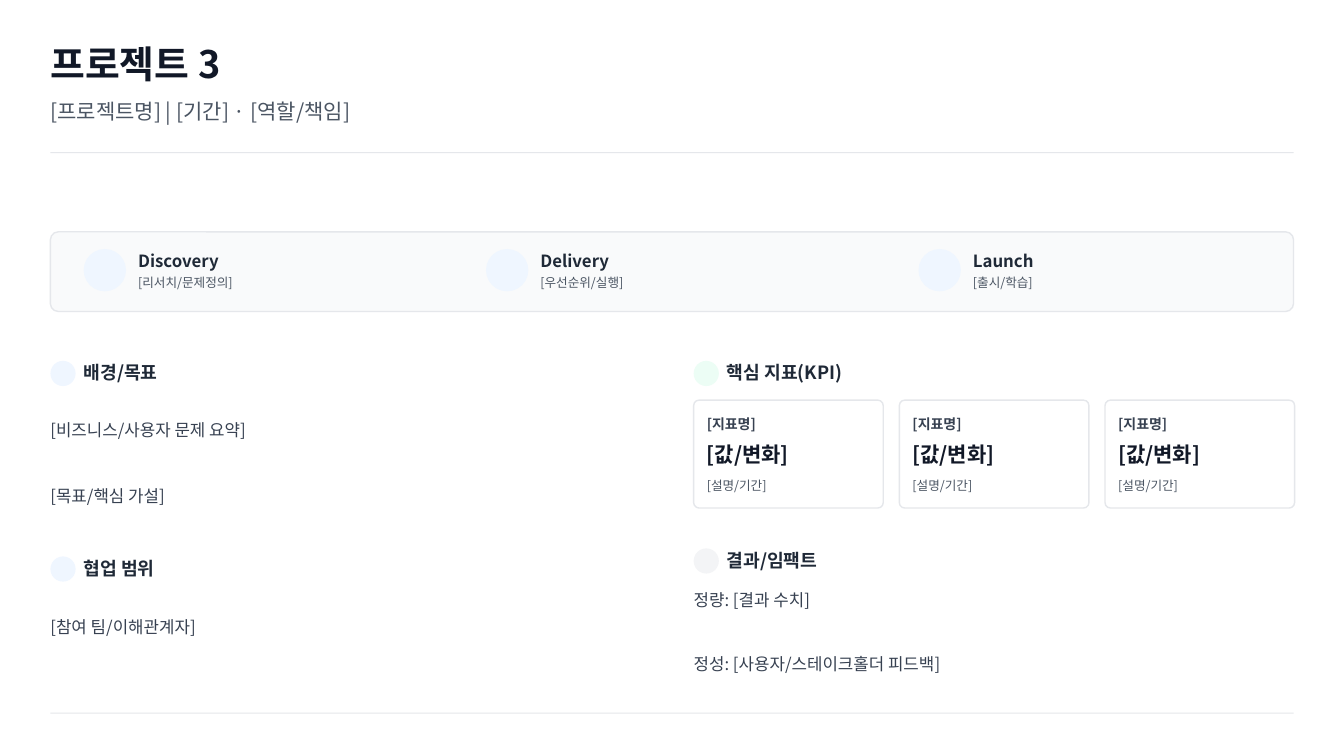
from pptx import Presentation
from pptx.dml.color import RGBColor
from pptx.enum.shapes import MSO_SHAPE
from pptx.enum.text import MSO_ANCHOR
from pptx.oxml.ns import qn
from pptx.util import Inches, Pt
from lxml import etree

RECT, ROUNDED = MSO_SHAPE.RECTANGLE, MSO_SHAPE.ROUNDED_RECTANGLE
MIDDLE = MSO_ANCHOR.MIDDLE
FONT = "Noto Sans CJK KR"
COLORS = {
    "title": "111827", "heading": "1F2937", "body": "374151", "muted": "4B5563",
    "rule": "E5E7EB", "band": "F9FAFB",
    "blue": "EFF6FF", "green": "ECFDF5", "gray": "F3F4F6",
}

prs = Presentation()
prs.slide_width, prs.slide_height = Inches(13.33), Inches(7.5)
slide = prs.slides.add_slide(prs.slide_layouts[6])

# Page grid
LEFT, RIGHT_COLUMN = 0.5, 6.88
CONTENT_W = 12.33


def add_text(text, x, y, w, h, size, color, bold=False):
    box = slide.shapes.add_textbox(Inches(x), Inches(y), Inches(w), Inches(h))
    frame = box.text_frame
    frame.word_wrap = True
    frame.vertical_anchor = MIDDLE
    frame.margin_left = frame.margin_right = frame.margin_top = frame.margin_bottom = 0
    run = frame.paragraphs[0].add_run()
    run.text = text
    run.font.size, run.font.bold, run.font.name = Pt(size), bold, FONT
    run.font.color.rgb = RGBColor.from_string(COLORS[color])
    etree.SubElement(run.font._element, qn("a:ea")).set("typeface", FONT)


def add_block(kind, x, y, w, h, fill=None, line=None, corner=None):
    block = slide.shapes.add_shape(kind, Inches(x), Inches(y), Inches(w), Inches(h))
    block.shadow.inherit = False
    if corner is not None:
        block.adjustments[0] = corner
    if fill:
        block.fill.solid()
        block.fill.fore_color.rgb = RGBColor.from_string(COLORS[fill])
    else:
        block.fill.background()
    if line:
        block.line.color.rgb = RGBColor.from_string(COLORS[line])
        block.line.width = Pt(1)
    else:
        block.line.fill.background()


# Header
add_text("프로젝트 3", LEFT, 0.36, 3, 0.54, 27, "title", True)
add_text("[프로젝트명] | [기간] · [역할/책임]", LEFT, 0.95, 9.85, 0.3, 15, "muted")

# Rules under the header and above the footer
for rule_y in (1.51, 7.07):
    add_block(RECT, LEFT, rule_y, CONTENT_W, 0.01, "rule")

# Phase band
add_block(ROUNDED, LEFT, 2.3, CONTENT_W, 0.79, "band", "rule", 0.1)
phases = [
    (0.83, "Discovery", "[리서치/문제정의]"),
    (4.82, "Delivery", "[우선순위/실행]"),
    (9.11, "Launch", "[출시/학습]"),
]
for x, phase, detail in phases:
    add_block(ROUNDED, x, 2.47, 0.42, 0.42, "blue", corner=0.5)
    add_text(phase, x + 0.54, 2.46, 1.5, 0.25, 12, "heading", True)
    add_text(detail, x + 0.54, 2.71, 3, 0.18, 9, "muted")

# Section headings with their dots
sections = [
    (LEFT, 3.56, "배경/목표", "blue"),
    (LEFT, 5.5, "협업 범위", "blue"),
    (RIGHT_COLUMN, 3.56, "핵심 지표(KPI)", "green"),
    (RIGHT_COLUMN, 5.42, "결과/임팩트", "gray"),
]
for x, y, heading, dot in sections:
    add_block(ROUNDED, x, y + 0.02, 0.25, 0.25, dot, corner=0.5)
    add_text(heading, x + 0.33, y, 2, 0.27, 13, "heading", True)

# Section body lines
body_lines = [
    (LEFT, 3.97, 0.59, "[비즈니스/사용자 문제 요약]"),
    (LEFT, 4.62, 0.59, "[목표/핵심 가설]"),
    (LEFT, 5.91, 0.62, "[참여 팀/이해관계자]"),
    (RIGHT_COLUMN, 5.83, 0.25, "정량: [결과 수치]"),
    (RIGHT_COLUMN, 6.27, 0.62, "정성: [사용자/스테이크홀더 피드백]"),
]
for x, y, h, body in body_lines:
    add_text(body, x, y, 5.5, h, 12, "body")

# KPI cards
CARD_W, CARD_GAP = 1.88, 0.16
for column in range(3):
    card_x = RIGHT_COLUMN + column * (CARD_W + CARD_GAP)
    add_block(ROUNDED, card_x, 3.97, CARD_W, 1.07, line="rule", corner=0.05)
    text_x = card_x + 0.13
    add_text("[지표명]", text_x, 4.1, 1.65, 0.21, 10, "body", True)
    add_text("[값/변화]", text_x, 4.36, 1.65, 0.3, 15, "title", True)
    add_text("[설명/기간]", text_x, 4.72, 1.65, 0.2, 9, "muted")

prs.save("out.pptx")
